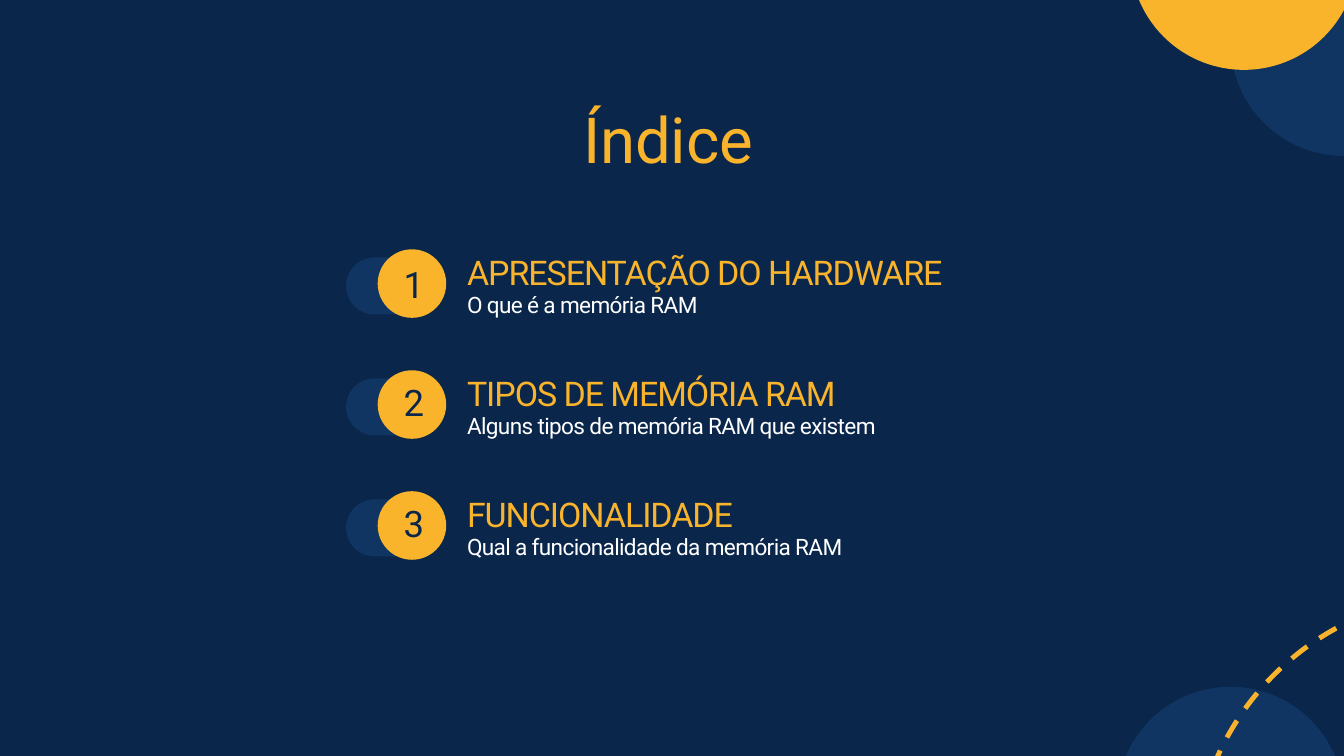
import pptx
import pptx.dml.color
import pptx.enum.dml
import pptx.enum.shapes
import pptx.enum.text
import pptx.util

Inches = pptx.util.Inches
Pt = pptx.util.Pt
MSO_SHAPE = pptx.enum.shapes.MSO_SHAPE
PP_ALIGN = pptx.enum.text.PP_ALIGN

NAVY = "0A274B"
BLUE = "103562"
YELLOW = "FAB42C"
WHITE = "FFFFFF"
FONT = "Roboto"

ROW_TOP = 3.71
ROW_PITCH = 1.8
# Heading, description, offset of the number below the top of its circle
TOPICS = [
    ("APRESENTAÇÃO DO HARDWARE", "O que é a memória RAM", 0.08),
    ("TIPOS DE MEMÓRIA RAM", "Alguns tipos de memória RAM que existem", 0.04),
    ("FUNCIONALIDADE", "Qual a funcionalidade da memória RAM", 0.04),
]


def color(value):
    return pptx.dml.color.RGBColor.from_string(value)


def add_filled_shape(slide, kind, left, top, width, height, fill):
    shape = slide.shapes.add_shape(
        kind, Inches(left), Inches(top), Inches(width), Inches(height))
    shape.shadow.inherit = False
    shape.fill.solid()
    shape.fill.fore_color.rgb = color(fill)
    shape.line.fill.background()
    return shape


def add_circle(slide, left, top, diameter, fill):
    return add_filled_shape(
        slide, MSO_SHAPE.OVAL, left, top, diameter, diameter, fill)


def add_dashed_ring(slide, left, top, diameter):
    ring = add_circle(slide, left, top, diameter, NAVY)
    ring.fill.background()
    ring.line.color.rgb = color(YELLOW)
    ring.line.width = Pt(5.25)
    ring.line.dash_style = pptx.enum.dml.MSO_LINE.DASH


def write_text(shape, text, size, text_color, line_spacing,
               alignment=PP_ALIGN.LEFT, character_spacing=0):
    """Fill a shape with one line of text; all spacings are in points."""
    frame = shape.text_frame
    frame.word_wrap = True
    frame.auto_size = pptx.enum.text.MSO_AUTO_SIZE.SHAPE_TO_FIT_TEXT
    frame.vertical_anchor = pptx.enum.text.MSO_ANCHOR.TOP
    frame.margin_left = frame.margin_right = 0
    frame.margin_top = frame.margin_bottom = 0
    paragraph = frame.paragraphs[0]
    paragraph.alignment = alignment
    paragraph.line_spacing = Pt(line_spacing)
    paragraph.space_before = Pt(0)
    run = paragraph.add_run()
    run.text = text
    run.font.name = FONT
    run.font.size = Pt(size)
    run.font.color.rgb = color(text_color)
    if character_spacing:
        run.font._element.set("spc", str(round(character_spacing * 100)))


def add_text(slide, left, top, width, height, *content, **options):
    box = slide.shapes.add_textbox(
        Inches(left), Inches(top), Inches(width), Inches(height))
    write_text(box, *content, **options)


def add_title(slide, text):
    title = slide.shapes.title
    title.left, title.top = Inches(5.83), Inches(1.3)
    title.width, title.height = Inches(8.23), Inches(1.27)
    write_text(title, text, 68, YELLOW, 95.2, alignment=PP_ALIGN.CENTER)


def add_topic(slide, number, heading, description, number_offset):
    top = ROW_TOP + (number - 1) * ROW_PITCH
    pill = add_filled_shape(slide, MSO_SHAPE.ROUNDED_RECTANGLE,
                            5.15, top + 0.12, 1.4, 0.85, BLUE)
    pill.adjustments[0] = 0.5
    add_circle(slide, 5.62, top, 1.02, YELLOW)
    add_text(slide, 5.92, top + number_offset, 0.48, 0.72,
             str(number), 39.1, NAVY, 54.8, alignment=PP_ALIGN.CENTER)
    add_text(slide, 6.95, top - 0.07, 7.12, 0.68,
             heading, 36.4, YELLOW, 50.9, character_spacing=-1.1)
    add_text(slide, 6.95, top + 0.65, 6.77, 0.37,
             description, 24.2, WHITE, 26.6, character_spacing=-0.7)


def add_corner_decoration(slide):
    add_circle(slide, 18.31, -1.06, 3.38, BLUE)
    add_circle(slide, 16.62, 10.22, 3.38, BLUE)
    add_dashed_ring(slide, 17.76, 8.85, 8.16)
    add_circle(slide, 16.82, -2.34, 3.38, YELLOW)


def main():
    presentation = pptx.Presentation()
    presentation.slide_width = Inches(20)
    presentation.slide_height = Inches(11.25)
    slide = presentation.slides.add_slide(presentation.slide_layouts[5])
    slide.background.fill.solid()
    slide.background.fill.fore_color.rgb = color(NAVY)

    add_corner_decoration(slide)
    add_title(slide, "Índice")
    for number, topic in enumerate(TOPICS, start=1):
        add_topic(slide, number, *topic)

    presentation.save("out.pptx")


if __name__ == "__main__":
    main()
